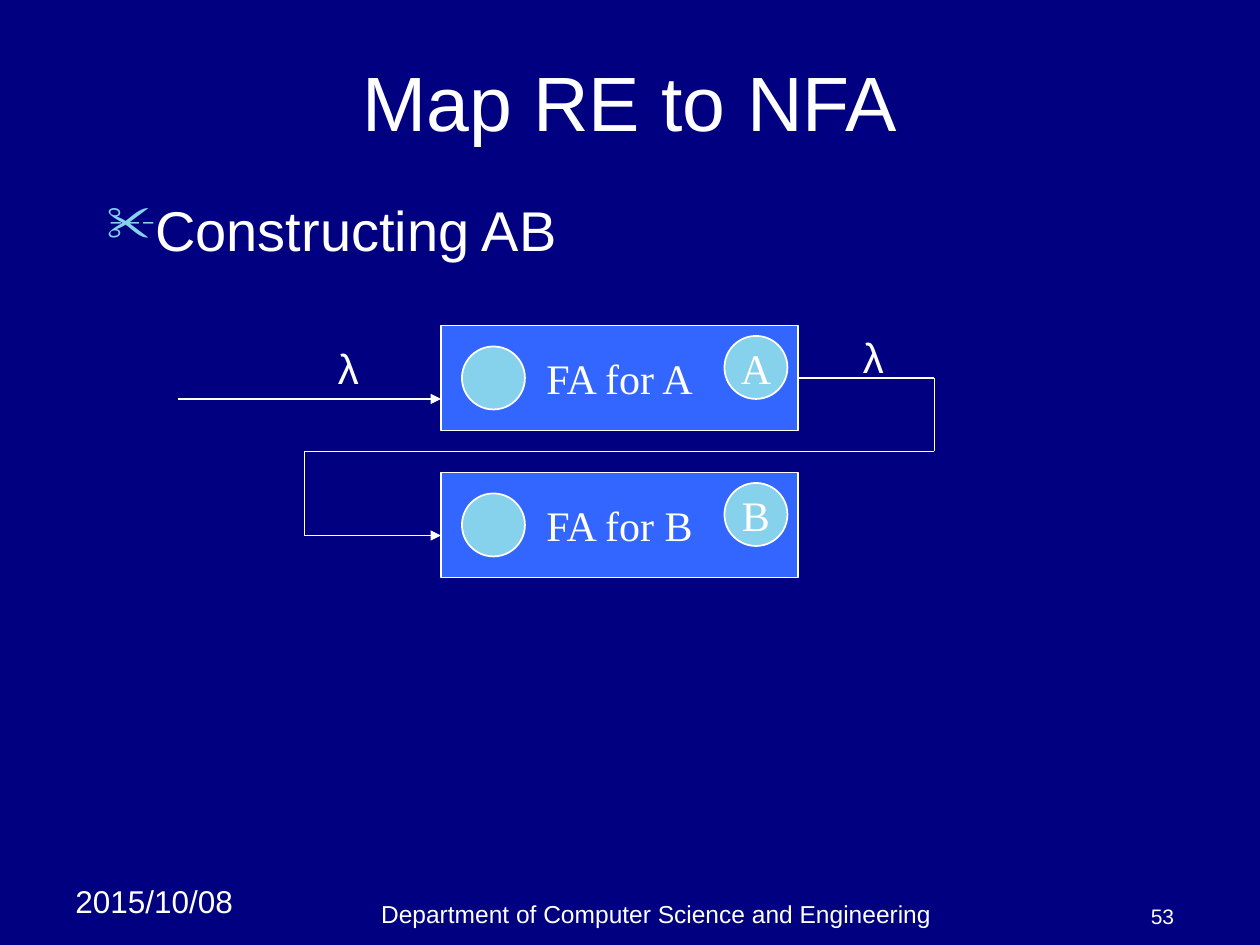
from lxml import etree
from pptx import Presentation
from pptx.dml.color import RGBColor
from pptx.enum import shapes, text
from pptx.oxml import ns
from pptx.util import Pt

NAVY = RGBColor(0x00, 0x00, 0x80)
BLUE = RGBColor(0x33, 0x66, 0xFF)
SKY = RGBColor(0x86, 0xD1, 0xEC)
WHITE = RGBColor(0xFF, 0xFF, 0xFF)
LEFT, CENTER, RIGHT = text.PP_ALIGN.LEFT, text.PP_ALIGN.CENTER, text.PP_ALIGN.RIGHT
TOP, MIDDLE, BOTTOM = text.MSO_ANCHOR.TOP, text.MSO_ANCHOR.MIDDLE, text.MSO_ANCHOR.BOTTOM


def write(shape, words, size, align=LEFT, anchor=TOP, font="Arial", wrap=True):
    frame = shape.text_frame
    frame.text = words
    frame.word_wrap = wrap
    frame.vertical_anchor = anchor
    paragraph = frame.paragraphs[0]
    paragraph.alignment = align
    run_font = paragraph.runs[0].font
    run_font.name, run_font.size, run_font.color.rgb = font, Pt(size), WHITE
    return paragraph


def add_node(kind, x, y, width, height, fill, label=None):
    """Add a white-outlined automaton part, with a label if one is given."""
    node = slide.shapes.add_shape(kind, Pt(x), Pt(y), Pt(width), Pt(height))
    node.shadow.inherit = False
    node.fill.solid()
    node.fill.fore_color.rgb = fill
    node.line.color.rgb = WHITE
    node.line.width = Pt(1)
    if label:
        write(node, label, 24, CENTER, MIDDLE, "Times New Roman", wrap=False)
    return node


deck = Presentation()
deck.slide_width, deck.slide_height = Pt(720), Pt(540)
slide = deck.slides.add_slide(deck.slide_layouts[6])
slide.background.fill.solid()
slide.background.fill.fore_color.rgb = NAVY

# Title, body, footer and transition labels
paragraphs = {}
for words, x, y, width, height, size, align, anchor, wrap in [
    ("2015/10/08", 36, 500.4, 114, 29, 18, LEFT, TOP, True),
    ("Department of Computer Science and Engineering",
     132, 510, 486, 24, 14, CENTER, BOTTOM, True),
    ("53", 630, 510, 48, 24, 12, RIGHT, BOTTOM, True),
    ("Map RE to NFA", 36, 21.6, 648, 72, 44, CENTER, MIDDLE, True),
    ("Constructing AB", 54, 108, 612, 402, 32, LEFT, TOP, True),
    ("λ", 186, 192, 27, 36, 24, LEFT, TOP, False),
    ("λ", 486, 186, 27, 36, 24, LEFT, TOP, False),
]:
    box = slide.shapes.add_textbox(Pt(x), Pt(y), Pt(width), Pt(height))
    paragraphs[words] = write(box, words, size, align, anchor, wrap=wrap)

# Scissors bullet
properties = paragraphs["Constructing AB"]._p.get_or_add_pPr()
properties.set("marL", str(Pt(27)))
properties.set("indent", str(-Pt(27)))
bullet_color = etree.SubElement(properties, ns.qn("a:buClr"))
etree.SubElement(bullet_color, ns.qn("a:srgbClr"), val=str(SKY))
etree.SubElement(properties, ns.qn("a:buSzPct"), val="90000")
etree.SubElement(properties, ns.qn("a:buChar"), char="✂")

# One automaton per operand, each with a start and a final state
automata = {}
for operand, y in [("A", 186), ("B", 270)]:
    automata[operand] = add_node(
        shapes.MSO_SHAPE.RECTANGLE, 252, y, 204, 60, BLUE, f"FA for {operand}")
    add_node(shapes.MSO_SHAPE.OVAL, 414, y + 6, 36, 36, SKY, operand)
    add_node(shapes.MSO_SHAPE.OVAL, 264, y + 12, 36, 36, SKY)

# Entry arrow, then the route from A's right side round to B
entry = [(102, 228), (252, 228)]
route = [(456, 216), (534, 216), (534, 258), (174, 258), (174, 306), (252, 306)]
for points in (entry, route):
    for start, end in zip(points, points[1:]):
        line = slide.shapes.add_connector(
            shapes.MSO_CONNECTOR.STRAIGHT, *map(Pt, start + end))
        line.line.color.rgb = WHITE
        line.line.width = Pt(1)
        if end == points[-1]:
            etree.SubElement(line.line._get_or_add_ln(), ns.qn("a:tailEnd"), type="triangle")
        etree.SubElement(line._element.spPr, ns.qn("a:effectLst"))
        if start == route[0]:
            line.begin_connect(automata["A"], 3)

deck.save("out.pptx")
